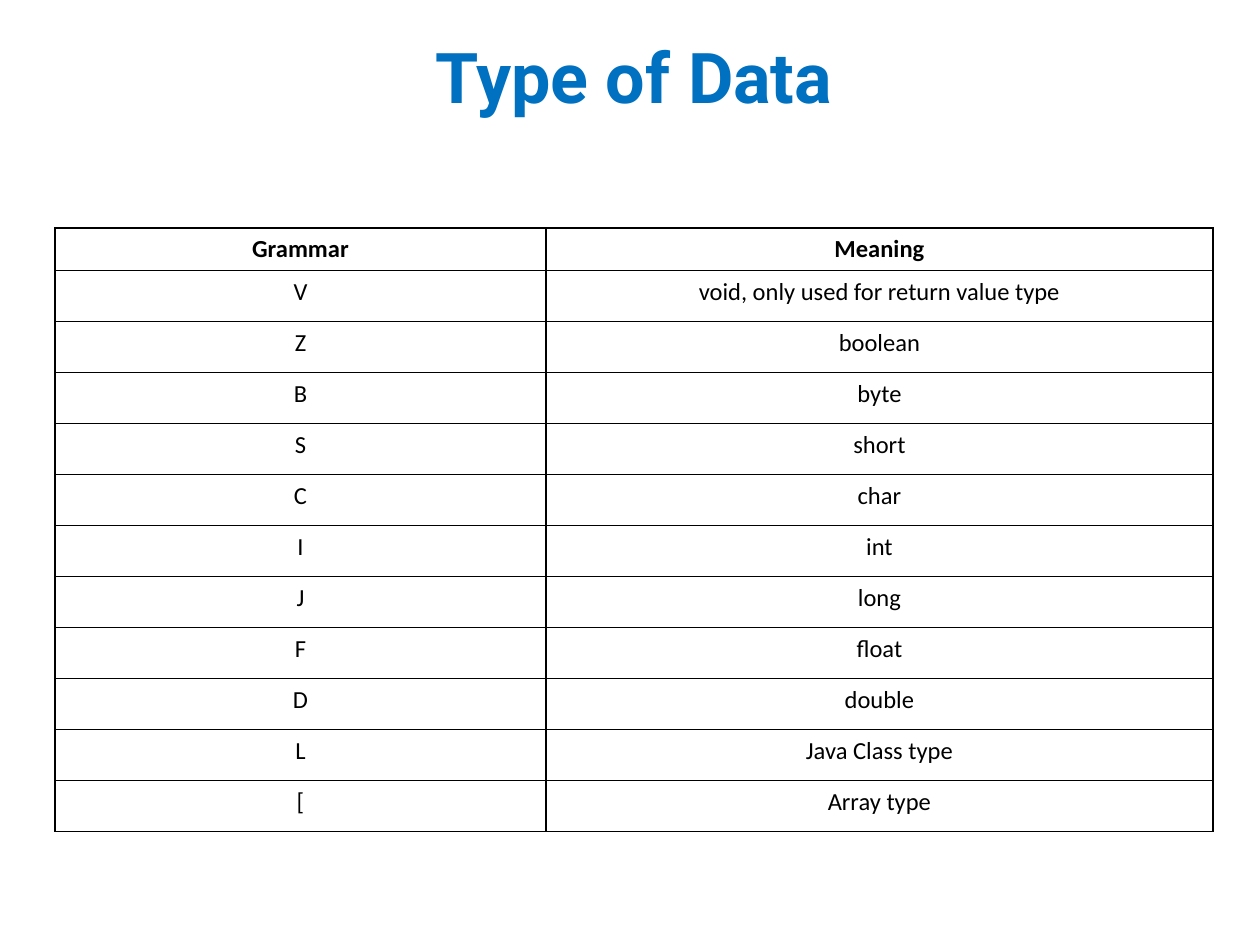
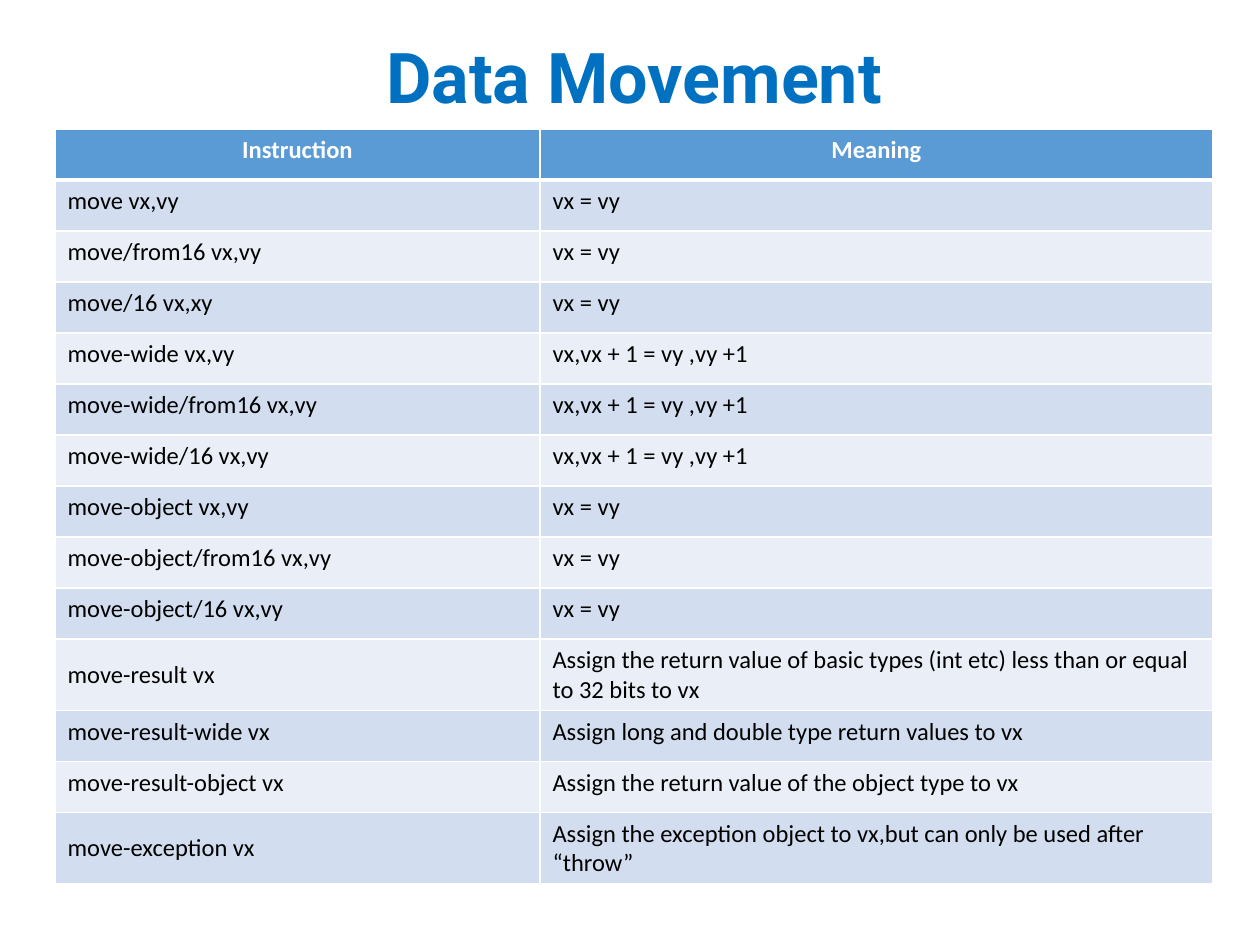
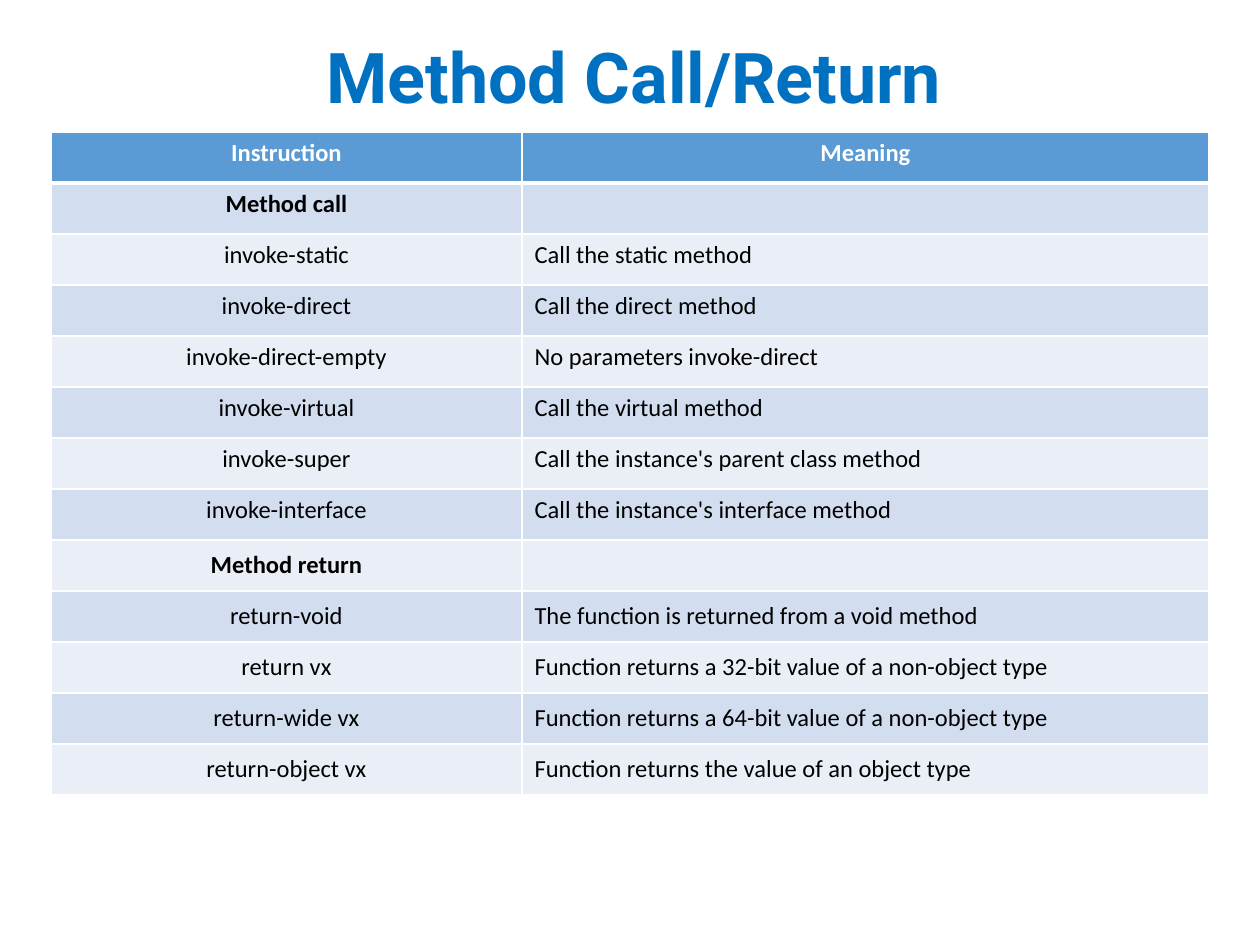
from lxml import etree
from pptx import Presentation
from pptx.dml.color import RGBColor
from pptx.enum.text import MSO_ANCHOR, PP_ALIGN
from pptx.oxml.ns import qn
from pptx.util import Pt

MID, TOP = MSO_ANCHOR.MIDDLE, MSO_ANCHOR.TOP
LEFT, MIDST = PP_ALIGN.LEFT, PP_ALIGN.CENTER

BLACK = RGBColor(0x00, 0x00, 0x00)
WHITE = RGBColor(0xFF, 0xFF, 0xFF)
BLUE = RGBColor(0x00, 0x70, 0xC0)
HEAD = RGBColor(0x5B, 0x9B, 0xD5)
DARK = RGBColor(0xD2, 0xDE, 0xEF)
PALE = RGBColor(0xEA, 0xEF, 0xF7)

SIZE = (1260, 945)
TITLE_BOX = (55, 30, 1158, 102)
ROW = 51
TITLE_FONT = {"name": "Roboto", "size": Pt(40), "bold": True}
CELL_FONT = {"name": "Calibri", "size": Pt(14)}

PLAIN = {"line": BLACK, "fills": None, "ink": BLACK, "rule": 1, "head": 42}
BANDED = {"line": WHITE, "fills": (HEAD, DARK, PALE), "ink": WHITE, "rule": 3, "head": ROW}

TYPES = [
    ("Grammar", "Meaning"),
    ("V", "void, only used for return value type"),
    ("Z", "boolean"),
    ("B", "byte"),
    ("S", "short"),
    ("C", "char"),
    ("I", "int"),
    ("J", "long"),
    ("F", "float"),
    ("D", "double"),
    ("L", "Java Class type"),
    ("[", "Array type"),
]
SAME, WIDE = "vx = vy", "vx,vx + 1 = vy ,vy +1"
MOVES = [
    ("Instruction", "Meaning"),
    ("move vx,vy", SAME),
    ("move/from16 vx,vy", SAME),
    ("move/16 vx,xy", SAME),
    ("move-wide vx,vy", WIDE),
    ("move-wide/from16 vx,vy", WIDE),
    ("move-wide/16 vx,vy", WIDE),
    ("move-object vx,vy", SAME),
    ("move-object/from16 vx,vy", SAME),
    ("move-object/16 vx,vy", SAME),
    ("move-result vx",
     "Assign the return value of basic types (int etc) less than or equal to 32 bits to vx"),
    ("move-result-wide vx", "Assign long and double type return values to vx"),
    ("move-result-object vx", "Assign the return value of the object type to vx"),
    ("move-exception vx",
     "Assign the exception object to vx,but can only be used after “throw”"),
]
CALLS = [
    ("Instruction", "Meaning"),
    ("Method call", ""),
    ("invoke-static", "Call the static method"),
    ("invoke-direct", "Call the direct method"),
    ("invoke-direct-empty", "No parameters invoke-direct"),
    ("invoke-virtual", "Call the virtual method"),
    ("invoke-super", "Call the instance's parent class method"),
    ("invoke-interface", "Call the instance's interface method"),
    ("Method return", ""),
    ("return-void", "The function is returned from a void method"),
    ("return vx", "Function returns a 32-bit value of a non-object type"),
    ("return-wide vx", "Function returns a 64-bit value of a non-object type"),
    ("return-object vx", "Function returns the value of an object type"),
]

PAGES = [
    {"title": "Type of Data", "rows": TYPES, "at": (55, 228), "cols": (491, 667),
     "look": PLAIN, "aligns": (MIDST, MIDST), "mids": (), "bolds": (0,)},
    {"title": "Data Movement", "rows": MOVES, "at": (55, 129), "cols": (485, 673),
     "look": BANDED, "aligns": (LEFT, LEFT), "mids": (10, 13), "bolds": (0,)},
    {"title": "Method Call/Return", "rows": CALLS, "at": (51, 132), "cols": (471, 687),
     "look": BANDED, "aligns": (MIDST, LEFT), "mids": range(8, 13), "bolds": (0, 1, 8)},
]


def px(count):
    """Turn pixels into EMU."""
    return round(count * 914400 / 126)


def write(frame, text, fonts, ink, align):
    """Put one styled run into a text frame."""
    para = frame.paragraphs[0]
    para.alignment = align
    if text:
        run = para.add_run()
        run.text = text
        for key, value in fonts.items():
            setattr(run.font, key, value)
        run.font.color.rgb = ink
    return para


def edge(cell, color, widths):
    """Draw the four borders of a cell, widths in points."""
    props = cell._tc.get_or_add_tcPr()
    for side, width in widths.items():
        line = etree.SubElement(props, qn("a:ln" + side), w=str(Pt(width)))
        fill = etree.SubElement(line, qn("a:solidFill"))
        etree.SubElement(fill, qn("a:srgbClr"), val=str(color))


def add_title(slide, box, text):
    """Place the centred slide title."""
    frame = slide.shapes.add_textbox(*map(px, box)).text_frame
    frame.word_wrap = True
    frame.vertical_anchor = MID
    write(frame, text, TITLE_FONT, BLUE, MIDST).line_spacing = 0.9


def style_cell(cell, row, col, page):
    """Give a cell its borders, fill and text."""
    look = page["look"]
    edge(cell, look["line"], {"L": 1, "R": 1, "T": look["rule"] if row == 1 else 1,
                              "B": look["rule"] if row == 0 else 1})
    if look["fills"]:
        cell.fill.solid()
        cell.fill.fore_color.rgb = look["fills"][2 - row % 2 if row else 0]
    else:
        cell.fill.background()
    cell.vertical_anchor = MID if row in page["mids"] else TOP
    fonts = {**CELL_FONT, "bold": row in page["bolds"]}
    write(cell.text_frame, page["rows"][row][col], fonts,
          BLACK if row else look["ink"], page["aligns"][col] if row else MIDST)


def add_grid(slide, page):
    """Place the two-column table of a page."""
    rows, cols = page["rows"], page["cols"]
    tall = [page["look"]["head"]] + [ROW] * (len(rows) - 1)
    box = (*page["at"], sum(cols), sum(tall))
    table = slide.shapes.add_table(len(rows), len(cols), *map(px, box)).table
    table.horz_banding = False
    for col, width in zip(table.columns, cols):
        col.width = px(width)
    for row, height in zip(table.rows, tall):
        row.height = px(height)
    for row in range(len(rows)):
        for col in range(len(cols)):
            style_cell(table.cell(row, col), row, col, page)


def main():
    """Build and save the deck."""
    deck = Presentation()
    deck.slide_width, deck.slide_height = map(px, SIZE)
    for page in PAGES:
        slide = deck.slides.add_slide(deck.slide_layouts[6])
        add_grid(slide, page)
        add_title(slide, TITLE_BOX, page["title"])
    deck.save("out.pptx")


if __name__ == "__main__":
    main()
